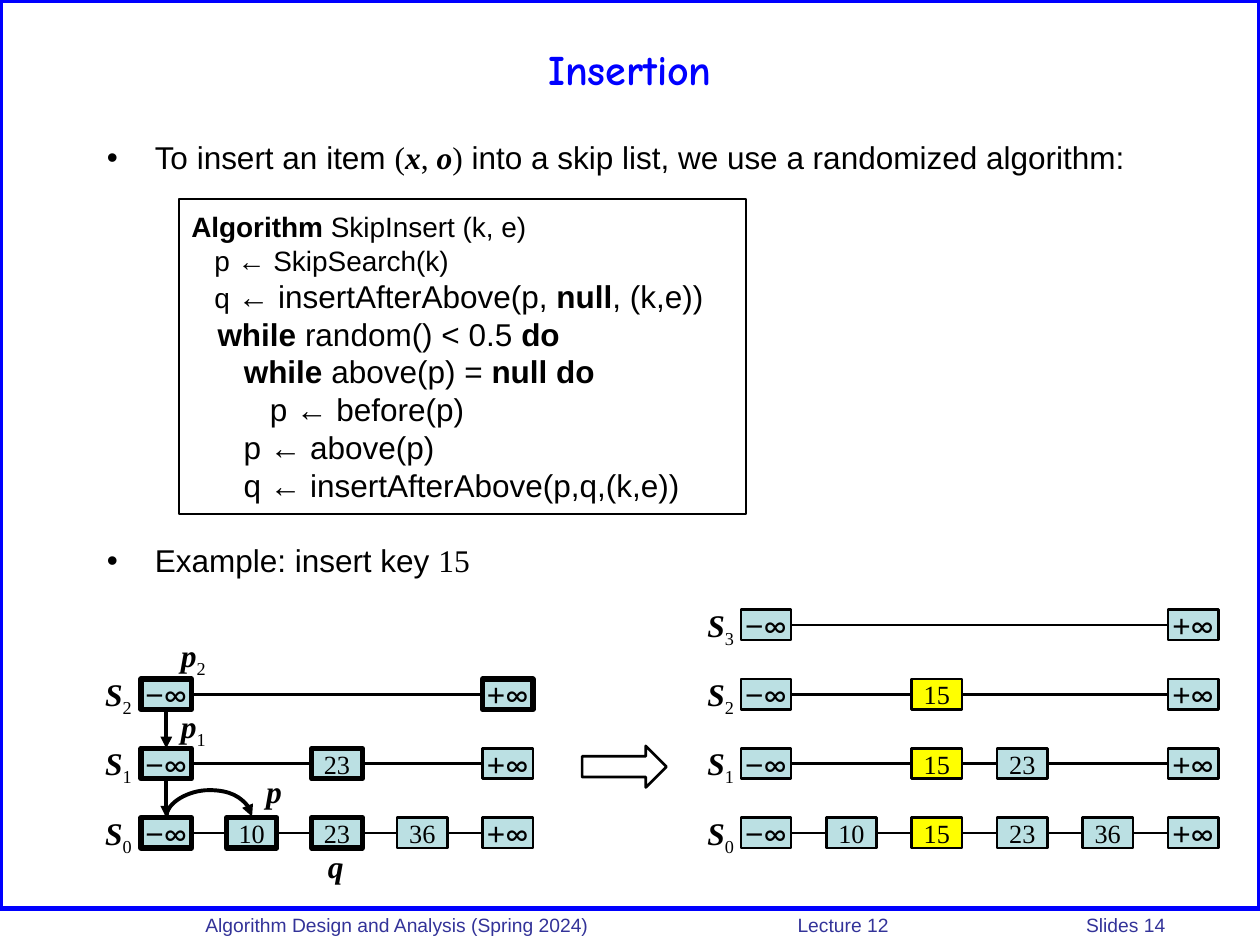
"""Build the skip list insertion slide."""
from pptx import Presentation
from pptx import util as u
from pptx.dml import color
from pptx.enum import shapes, text
from pptx.oxml import ns, xmlchemy

SERIF = "Times New Roman"
BLACK, BLUE, TEAL, YELLOW = "000000", "0000FF", "BBE0E3", "FFFF00"
CENTER = text.PP_ALIGN.CENTER
FOOTER = "Algorithm Design and Analysis (Spring 2024)\tLecture 12\tSlides 14"
FOOTER_TABS = (4.7, 6.99)
BULLETS = [
    [("To insert an item ",), ("(", "", SERIF), ("x", "bi", SERIF), (", ", "", SERIF),
     ("o", "bi", SERIF), (")", "", SERIF),
     (" into a skip list, we use a randomized algorithm:",)],
    [("Example: insert key ",), ("15", "", SERIF)],
]
CODE = [
    (16, [("Algorithm", "b"), (" SkipInsert (k, e)",)]),
    (16, [("   p ← SkipSearch(k)",)]),
    (18, [("   q ", "", None, 16), ("← insertAfterAbove(p, ",), ("null", "b"),
          (", (k,e))",)]),
    (18, [("   ",), ("while", "b"), (" random() < 0.5 ",), ("do", "b")]),
    (18, [("      ",), ("while", "b"), (" above(p) = ",), ("null do", "b")]),
    (18, [("         p ← before(p)",)]),
    (18, [("      p ← above(p)",)]),
    (18, [("      q ← insertAfterAbove(p,q,(k,e))",)]),
]
LISTS = {
    "before": dict(first=1.12, last=3.83, columns=5, label=0.73, levels={
        2: {0: "−∞", 4: "+∞"},
        1: {0: "−∞", 2: "23", 4: "+∞"},
        0: {0: "−∞", 1: "10", 2: "23", 3: "36", 4: "+∞"}},
        visited={(2, 0), (2, 4), (1, 0), (1, 2), (0, 0), (0, 1), (0, 2)}),
    "after": dict(first=5.88, last=9.27, columns=6, label=5.51, levels={
        3: {0: "−∞", 5: "+∞"},
        2: {0: "−∞", 2: "15", 5: "+∞"},
        1: {0: "−∞", 2: "15", 3: "23", 5: "+∞"},
        0: {0: "−∞", 1: "10", 2: "15", 3: "23", 4: "36", 5: "+∞"}},
        visited=set()),
}
POINTERS = [("p", "", 2.01, 6.08, 0.33), ("p", "1", 1.33, 5.56, 0.41),
            ("p", "2", 1.33, 5, 0.41), ("q", "", 2.5, 6.67, 0.33)]
NODE_W, NODE_H, BASE_Y, LEVEL_GAP = 0.4, 0.24, 6.49, 0.55

prs = Presentation()
prs.slide_width, prs.slide_height = u.Inches(10), u.Inches(7.5)
s = prs.slides.add_slide(prs.slide_layouts[6])


def rgb(value):
    return color.RGBColor.from_string(value)


def inches(*values):
    return [u.Inches(v) for v in values]


def child(parent, tag, **attrs):
    el = xmlchemy.OxmlElement(tag)
    for name, value in attrs.items():
        el.set(name, str(value))
    parent.append(el)
    return el


def write(p, runs, size, font="Arial", fill=BLACK, align=text.PP_ALIGN.LEFT):
    p.alignment = align
    p.font.size, p.font.name = u.Pt(size), font
    p.font.color.rgb = rgb(fill)
    for content, flags, name, run_size in [(*run, "", None, None)[:4] if len(run) == 1
                                           else (*run, None, None)[:4] for run in runs]:
        r = p.add_run()
        r.text = content
        if "b" in flags:
            r.font.bold = True
        if "i" in flags:
            r.font.italic = True
        if "_" in flags:
            r.font._element.set("baseline", "-25000")
        if name:
            r.font.name = name
        if run_size:
            r.font.size = u.Pt(run_size)


def add_text(x, y, w, h, wrap=True):
    tf = s.shapes.add_textbox(*inches(x, y, w, h)).text_frame
    tf.word_wrap = wrap
    return tf


def add_box(kind, x, y, w, h, fill=None, line=BLACK, weight=1.5):
    sp = s.shapes.add_shape(kind, *inches(x, y, w, h))
    sp.shadow.inherit = False
    if fill:
        sp.fill.solid()
        sp.fill.fore_color.rgb = rgb(fill)
    else:
        sp.fill.background()
    sp.line.color.rgb, sp.line.width = rgb(line), u.Pt(weight)
    sp.text_frame.word_wrap = False
    sp.text_frame.vertical_anchor = text.MSO_ANCHOR.MIDDLE
    return sp


def add_line(kind, ends=(0, 0, 0, 0), weight=1.5, arrow=False):
    cn = s.shapes.add_connector(kind, *inches(*ends))
    cn.line.color.rgb, cn.line.width = rgb(BLACK), u.Pt(weight)
    if arrow:
        child(cn.line._get_or_add_ln(), "a:tailEnd", type="triangle")
    child(cn._element.spPr, "a:effectLst")
    return cn


def join(start, start_side, end, end_side, **style):
    cn = add_line(shapes.MSO_CONNECTOR.STRAIGHT, **style)
    cn.begin_connect(start, start_side)
    cn.end_connect(end, end_side)


def add_label(letter, index, x, y, w):
    runs = [(letter, "bi")] + ([(index, "_")] if index else [])
    write(add_text(x, y, w, 0.4, False).paragraphs[0], runs, 18, SERIF, align=CENTER)


def add_node(label, x, y, weight):
    fill = YELLOW if label == "15" else TEAL
    sp = add_box(shapes.MSO_SHAPE.RECTANGLE, x, y, NODE_W, NODE_H, fill, weight=weight)
    p = sp.text_frame.paragraphs[0]
    if "∞" in label:
        write(p, [(label[0], "", "Arial"), (label[1], "", "Lato")], 18, align=CENTER)
    else:
        write(p, [(label,)], 15, SERIF, align=CENTER)
    return sp


def add_skip_list(first, last, columns, label, levels, visited):
    step = (last - first) / (columns - 1)
    nodes = {}
    for level, keys in levels.items():
        y = BASE_Y - level * LEVEL_GAP
        add_label("S", str(level), label, y - 0.08, 0.42)
        for col, key in keys.items():
            weight = 3 if (level, col) in visited else 1.5
            nodes[level, col] = add_node(key, first + col * step, y, weight)
        row = [nodes[level, col] for col in keys]
        for left, right in zip(row, row[1:]):
            join(left, 3, right, 1)
    return nodes


add_box(shapes.MSO_SHAPE.RECTANGLE, 0, 0, 10, 7.21, line=BLUE, weight=3)

tf = add_text(1.33, 7.2, 8.67, 0.26)
tf.margin_left = u.Inches(0.3)
p = tf.paragraphs[0]
tabs = child(p._p.get_or_add_pPr(), "a:tabLst")
for stop in FOOTER_TABS:
    child(tabs, "a:tab", pos=u.Inches(stop), algn="l")
write(p, [(FOOTER,)], 11, fill="333399")

tf = add_text(0.5, 0.17, 9, 0.75)
tf.vertical_anchor = text.MSO_ANCHOR.MIDDLE
write(tf.paragraphs[0], [("Insertion", "b")], 24, "Comic Neue", BLUE, CENTER)

tf = add_text(0.75, 1.08, 8.42, 3.92)
for i, runs in enumerate(BULLETS):
    p = tf.add_paragraph() if i else tf.paragraphs[0]
    p.line_spacing = 0.9
    if i:
        p.space_before = u.Pt(211)
    pPr = p._p.get_or_add_pPr()
    pPr.set("marL", str(u.Inches(0.38)))
    pPr.set("indent", str(u.Inches(-0.38)))
    child(pPr, "a:buFont", typeface="Arial")
    child(pPr, "a:buChar", char="•")
    write(p, runs, 18)

tf = add_box(shapes.MSO_SHAPE.RECTANGLE, 1.42, 1.58, 4.5, 2.5, "FFFFFF", weight=1).text_frame
for i, (size, runs) in enumerate(CODE):
    write(tf.add_paragraph() if i else tf.paragraphs[0], runs, size)

before = add_skip_list(**LISTS["before"])
add_skip_list(**LISTS["after"])
add_box(shapes.MSO_SHAPE.RIGHT_ARROW, 4.62, 5.92, 0.67, 0.33)
for level in (2, 1):
    join(before[level, 0], 2, before[level - 1, 0], 0, weight=2.25, arrow=True)

hop = add_line(shapes.MSO_CONNECTOR.CURVE, (1.66, 6.14, 1.66, 6.82), 2.25, True)
hop.width = u.Emu(1588)
xfrm = hop._element.spPr.find(ns.qn("a:xfrm"))
xfrm.set("rot", "5400000")
xfrm.set("flipV", "1")
guides = hop._element.spPr.find(ns.qn("a:prstGeom")).get_or_add_avLst()
child(guides, "a:gd", name="adj1", fmla="val -13200000")

for pointer in POINTERS:
    add_label(*pointer)

prs.save("out.pptx")
